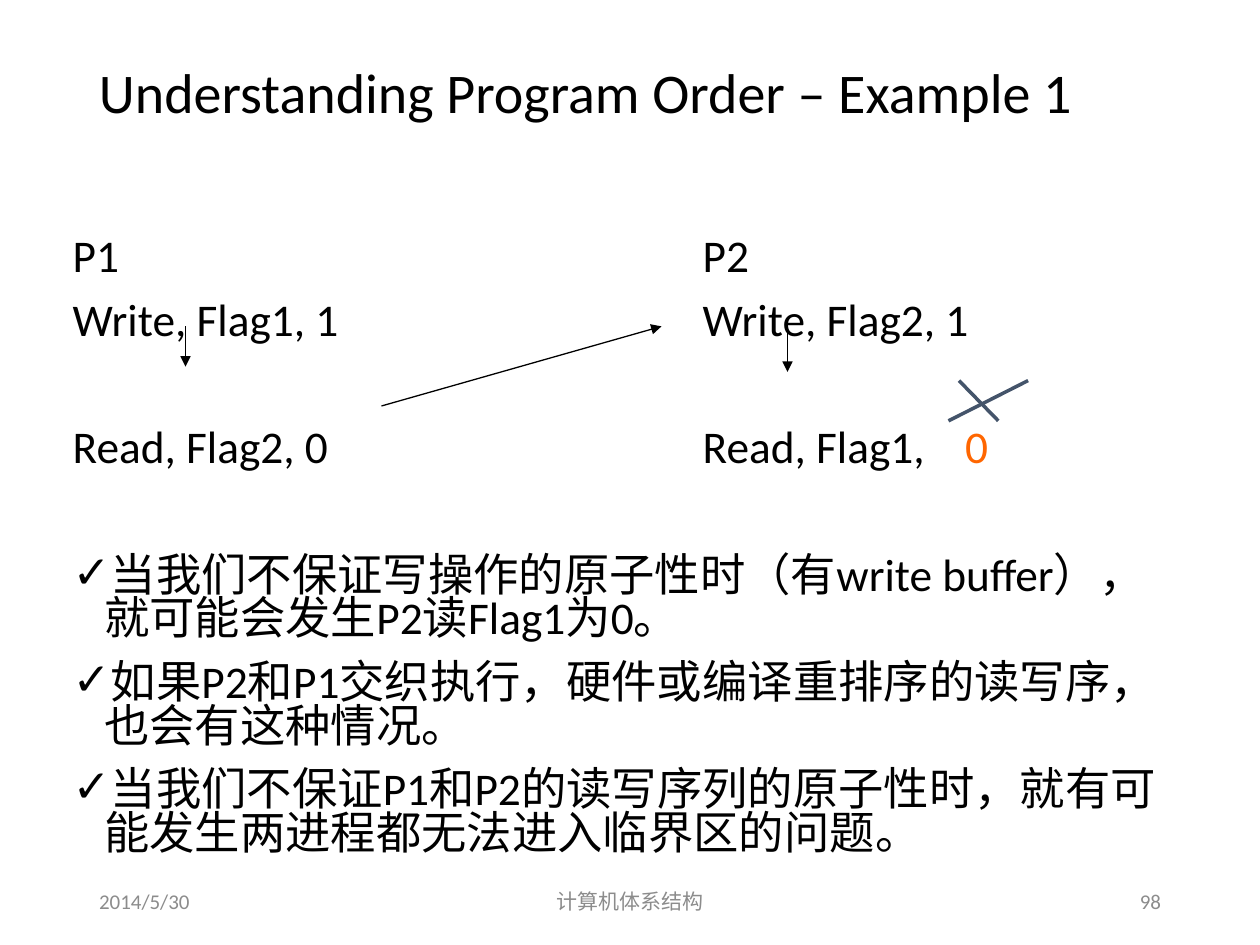
import pptx
import pptx.util
import pptx.dml.color
import pptx.enum.shapes
import pptx.enum.text
import pptx.oxml
import pptx.oxml.ns
from dataclasses import dataclass

Pt = pptx.util.Pt
ALIGN = pptx.enum.text.PP_ALIGN
ANCHOR = pptx.enum.text.MSO_ANCHOR


@dataclass(frozen=True)
class Theme:
    font: str = "Calibri"
    ink: str = "000000"
    gray: str = "8C8C8C"
    hot: str = "FF6600"
    cross: str = "44546A"
    head: float = 32
    body: float = 25.9
    foot: float = 12


theme = Theme()

# Content
title = "Understanding Program Order – Example 1"
gap, wide = 11.4, 48  # space before a line, and before a line set apart
steps = [  # runs of text and colour, space before
    ([("P1\tP2", theme.ink)], 0),
    ([("Write, Flag1, 1\tWrite, Flag2, 1", theme.ink)], gap),
    ([("Read, Flag2, 0\tRead, Flag1,\t", theme.ink), ("0", theme.hot)], wide),
]
notes = [
    "当我们不保证写操作的原子性时（有write buffer），就可能会发生P2读Flag1为0。",
    "如果P2和P1交织执行，硬件或编译重排序的读写序，也会有这种情况。",
    "当我们不保证P1和P2的读写序列的原子性时，就有可能发生两进程都无法进入临界区的问题。",
]
feet = [  # text, left, width, align
    ("2014/5/30", 49.5, 162, ALIGN.LEFT),
    ("计算机体系结构", 238.5, 243, ALIGN.CENTER),
    ("98", 508.5, 162, ALIGN.RIGHT),
]
stops = (360, 510)  # second column, value read
arrows = [
    (106, 186.5, 106, 209.5),
    (450, 189.5, 450, 212.5),
    (218, 232, 378, 186.5),
]
cross = [(542, 240.5, 587.5, 217.5), (548, 217.5, 570.5, 240.5)]


def add_tag(node, tag, **attrs):
    part = pptx.oxml.parse_xml(f"<a:{tag} {pptx.oxml.ns.nsdecls('a')}/>")
    for key, val in attrs.items():
        part.set(key, str(val))
    node.append(part)
    return part


def write(frame, runs, size, color=theme.ink, align=ALIGN.LEFT,
          line=None, before=0, tabs=(), bullet=None):
    """Add one paragraph; runs is a string or a list of (text, colour)."""
    para = frame.paragraphs[0]
    if para.runs:
        para = frame.add_paragraph()
    para.alignment = align
    para.space_before = Pt(before)
    if line:
        para.line_spacing = line
    props = para._p.get_or_add_pPr()
    if bullet:
        props.set("marL", str(Pt(18)))
        props.set("indent", str(Pt(-18)))
        add_tag(props, "buFont", typeface="Arial")
        add_tag(props, "buChar", char=bullet)
    if tabs:
        rack = add_tag(props, "tabLst")
        for pos in tabs:
            add_tag(rack, "tab", pos=Pt(pos), algn="l")
    for text, tint in [(runs, color)] if isinstance(runs, str) else runs:
        run = para.add_run()
        run.text = text
        run.font.name = theme.font
        run.font.size = Pt(size)
        run.font.color.rgb = pptx.dml.color.RGBColor.from_string(tint)


def add_box(left, top, width, height, anchor=ANCHOR.MIDDLE):
    box = slide.shapes.add_textbox(Pt(left), Pt(top), Pt(width), Pt(height))
    box.text_frame.word_wrap = True
    box.text_frame.vertical_anchor = anchor
    return box.text_frame


def add_line(shapes, ends, color, width, arrow=False):
    kind = pptx.enum.shapes.MSO_CONNECTOR.STRAIGHT
    link = shapes.add_connector(kind, *[Pt(n) for n in ends])
    link.line.color.rgb = pptx.dml.color.RGBColor.from_string(color)
    link.line.width = Pt(width)
    if arrow:
        add_tag(link.line._get_or_add_ln(), "tailEnd", type="triangle")
    add_tag(link._element.spPr, "effectLst")


deck = pptx.Presentation()
deck.slide_width, deck.slide_height = Pt(720), Pt(540)
slide = deck.slides.add_slide(deck.slide_layouts[6])

# Title
write(add_box(49.5, 29, 621, 51), title, theme.head, line=0.9)

# Two columns of steps, then the notes
body = add_box(34.5, 87, 648, 400, ANCHOR.TOP)
body.margin_top = Pt(49)
for runs, before in steps:
    write(body, runs, theme.body, line=0.8, before=before, tabs=stops)
for num, note in enumerate(notes):
    write(body, note, theme.body, line=0.8, bullet="✓",
          before=gap if num else wide)

# Arrows and the cross above the value
for ends in arrows:
    add_line(slide.shapes, ends, theme.ink, 0.75, arrow=True)
group = slide.shapes.add_group_shape()
for ends in cross:
    add_line(group.shapes, ends, theme.cross, 2)

# Footer
for text, left, width, align in feet:
    write(add_box(left, 500.5, width, 29), text, theme.foot,
          color=theme.gray, align=align)

deck.save("out.pptx")
